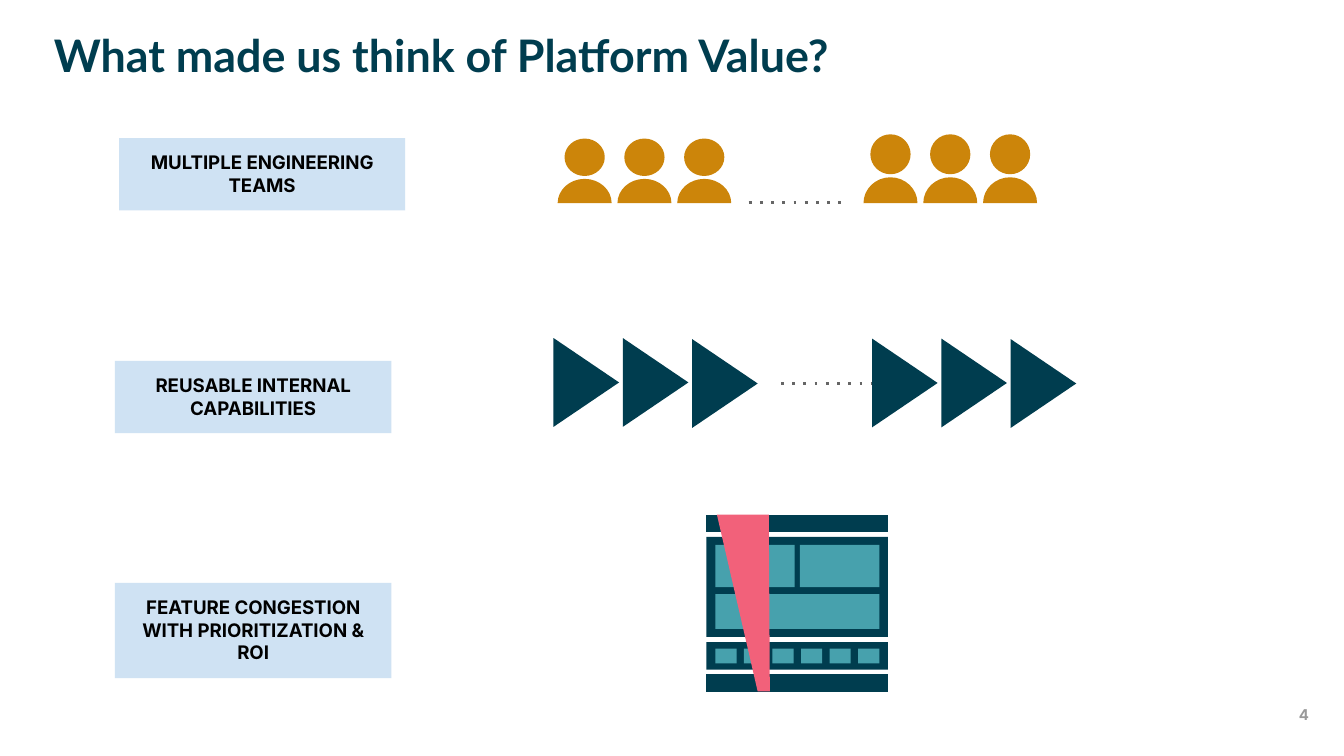
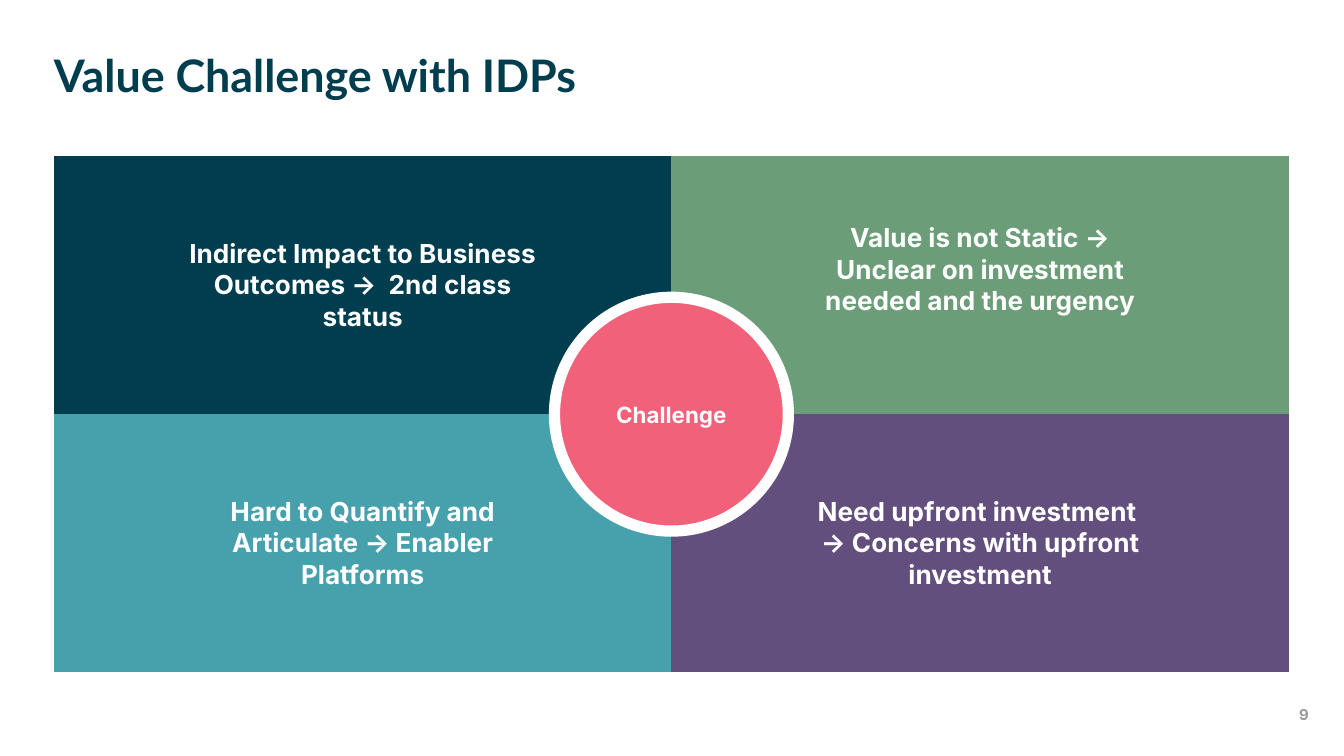
import copy
import math

import lxml.etree
import pptx
import pptx.dml.color
import pptx.enum.shapes
import pptx.enum.text
import pptx.oxml.ns
import pptx.util

HUES = {
    "navy": "003D4F", "teal": "47A1AD", "green": "6B9E78", "plum": "634F7D",
    "pink": "F2617A", "gold": "CC850A", "pale": "CFE2F3", "gray": "666666",
    "dim": "999999", "black": "000000", "white": "FFFFFF",
}
MID = pptx.enum.text.MSO_ANCHOR.MIDDLE
TOP = pptx.enum.text.MSO_ANCHOR.TOP
LEFT = pptx.enum.text.PP_ALIGN.LEFT
MAIN = pptx.enum.text.PP_ALIGN.CENTER
KIND = pptx.enum.shapes.MSO_SHAPE


def cm(*nums):
    return [pptx.util.Cm(num) for num in nums]


def tag(name):
    return pptx.oxml.ns.qn("a:" + name)


def rgb(hue):
    return pptx.dml.color.RGBColor.from_string(HUES[hue])


def apply(item, vals):
    for key, val in vals.items():
        setattr(item, key, val)


def pads(side, top, low=None):
    names = ("margin_left", "margin_right", "margin_top", "margin_bottom")
    return dict(zip(names, cm(side, side, top, top if low is None else low)))


def write(frame, text, size, hue, face="Inter", align=MAIN):
    """Fill a text frame with one bold paragraph."""
    line = frame.paragraphs[0]
    line.text = text
    line.alignment = align
    for run in line.runs:
        apply(run.font, {"name": face, "size": pptx.util.Pt(size), "bold": True})
        run.font.color.rgb = rgb(hue)
    # Line breaks take the format of the text
    for gap in line._p.iter(tag("br")):
        gap.insert(0, copy.deepcopy(line.runs[0]._r.rPr))


def label(shape, text, size, hue, pad=0, anchor=MID, **look):
    apply(shape.text_frame, {"word_wrap": True, "vertical_anchor": anchor, **pads(pad, pad)})
    write(shape.text_frame, text, size, hue, **look)


def paint(shape, hue):
    shape.shadow.inherit = False
    shape.fill.solid()
    shape.fill.fore_color.rgb = rgb(hue)
    shape.line.fill.background()


def solid(shapes, kind, box, hue):
    shape = shapes.add_shape(kind, *cm(*box))
    paint(shape, hue)
    return shape


def outline(shapes, left, top, loops, hue):
    """Draw closed loops, given relative to a corner, as one shape."""
    pen = None
    for loop in loops:
        dots = [cm(left + x, top + y) for x, y in loop]
        if pen is None:
            pen = shapes.build_freeform(*dots[0])
        else:
            pen.move_to(*dots[0])
        pen.add_line_segments(dots[1:], close=True)
    shape = pen.convert_to_shape()
    paint(shape, hue)
    return shape


def bend(shape):
    """Turn each three line points into one curve."""
    lines = list(shape.element.iter(tag("lnTo")))
    for spot in range(0, len(lines), 3):
        curve = lxml.etree.Element(tag("cubicBezTo"))
        lines[spot].addprevious(curve)
        for line in lines[spot:spot + 3]:
            curve.append(line[0])
            line.getparent().remove(line)


def block(left, top, wide, high):
    right, low = left + wide, top + high
    return [(left, top), (right, top), (right, low), (left, low)]


def arc(mid, base, wide, high, count):
    """Curve points for quarters of an ellipse, from its left end over its top."""
    def point(step, pull):
        turn = math.pi * (1 + step / 2)
        cos, sin = math.cos(turn), math.sin(turn)
        return mid + wide * (cos - pull * sin), base + high * (sin + pull * cos)

    pull = 0.55
    spots = [point(0, 0)]
    for step in range(count):
        spots += [point(step, pull), point(step + 1, -pull), point(step + 1, 0)]
    return spots


def start(deck, title, top, number):
    """Add a slide with its title and page number."""
    slide = deck.slides.add_slide(deck.slide_layouts[5])
    head = slide.shapes.title
    apply(head, dict(zip(("left", "top", "width", "height"), cm(1.02, top, 23.34, 1.7))))
    label(head, title, 24, "navy", anchor=TOP, face="Lato", align=LEFT)
    head.text_frame.auto_size = pptx.enum.text.MSO_AUTO_SIZE.NONE
    page = slide.shapes.add_textbox(*cm(24.38, 13.26, 0.53, 0.51))
    label(page, number, 8, "dim")
    return slide.shapes


def team(shapes, left, top, high):
    """Three people side by side."""
    group = shapes.add_group_shape().shapes
    body = arc(0.51, high, 0.51, 0.375 * high, 2)
    skull = arc(0.51, 0.29 * high, 0.38, 0.29 * high, 4)
    for spot in range(3):
        bend(outline(group, left + 1.13 * spot, top, [body, skull], "gold"))


def arrows(shapes, left, tops):
    """Three triangles that point right."""
    wide, high = 1.24, 1.68
    for spot, top in enumerate(tops):
        x = left + 1.31 * spot + (wide - high) / 2
        y = top + (high - wide) / 2
        solid(shapes, KIND.ISOSCELES_TRIANGLE, (x, y, high, wide), "navy").rotation = 90


def dots(shapes, left, right, top):
    """Dotted line."""
    line = shapes.add_connector(
        pptx.enum.shapes.MSO_CONNECTOR.STRAIGHT, *cm(left, top, right, top))
    line.line.width = pptx.util.Pt(1.5)
    line.line.color.rgb = rgb("gray")
    props = line.element.spPr
    lxml.etree.SubElement(props.find(tag("ln")), tag("prstDash"), val="dot")
    lxml.etree.SubElement(props, tag("effectLst"))


def board(shapes, left, top):
    """Crowded screen with a wedge across it."""
    group = shapes.add_group_shape().shapes
    wide = 3.43
    head, foot = block(0, 0, wide, 0.33), block(0, 3.02, wide, 0.33)
    frames = [block(0, 0.42, wide, 1.89), block(0, 2.41, wide, 0.52)]
    panes = [block(0.17, 0.57, 1.5, 0.8), block(1.77, 0.57, 1.5, 0.8),
             block(0.17, 1.5, 3.1, 0.66)]
    panes += [block(0.17 + 0.54 * spot, 2.53, 0.4, 0.28) for spot in range(6)]
    wedge = [(0.2, 0), (1.18, 0), (1.2, 3.34), (0.97, 3.34)]
    for loops, hue in (([head], "navy"), ([foot], "navy"), (frames, "navy"),
                       (panes, "teal"), ([wedge], "pink")):
        outline(group, left, top, loops, hue)


def think(deck):
    shapes = start(deck, "What made us think of Platform Value?", 0.53, "4")
    # People
    team(shapes, 10.54, 2.62, 1.22)
    team(shapes, 16.32, 2.54, 1.3)
    dots(shapes, 14.15, 15.98, 3.83)
    # Capabilities
    arrows(shapes, 10.46, (6.39, 6.39, 6.41))
    dots(shapes, 14.76, 16.48, 7.25)
    # Features
    board(shapes, 13.35, 9.73)
    # Labels
    for text, box in (
        ("MULTIPLE ENGINEERING\nTEAMS", (2.25, 2.61, 5.41, 1.37)),
        ("REUSABLE INTERNAL CAPABILITIES", (2.17, 6.82, 5.23, 1.37)),
        ("FEATURE CONGESTION WITH PRIORITIZATION & ROI", (2.17, 11.02, 5.23, 1.8)),
    ):
        label(solid(shapes, KIND.RECTANGLE, box, "pale"), text, 10, "black",
              pad=0.25, anchor=TOP)
    # More capabilities
    arrows(shapes, 16.48, (6.4, 6.4, 6.41))


def grid(shapes, left, top, wide, high, cells):
    """Two by two table of coloured cells."""
    frame = shapes.add_table(2, 2, *cm(left, top, wide, high))
    # Plain style without grid lines
    frame.element.xpath(".//a:tableStyleId")[0].text = "{2D5ABB26-0587-4C30-8999-92F81FD0307C}"
    table = frame.table
    apply(table, {"first_row": False, "horz_banding": False})
    for cell, (text, hue, low) in zip(table.iter_cells(), cells):
        cell.fill.solid()
        cell.fill.fore_color.rgb = rgb(hue)
        apply(cell, {"vertical_anchor": MID, **pads(2.54, 0.76, low)})
        write(cell.text_frame, text, 14, "white")


def value(deck):
    shapes = start(deck, "Value Challenge with IDPs", 0.9, "9")
    # Quadrants
    left, top, wide, high = 1.02, 2.95, 23.34, 9.76
    grid(shapes, left, top, wide, high, (
        ("Indirect Impact to Business Outcomes →  2nd class status", "navy", 0.76),
        ("Value is not Static → Unclear on investment needed and the urgency", "green", 1.35),
        ("Hard to Quantify and Articulate → Enabler Platforms", "teal", 0.76),
        ("Need upfront investment  → Concerns with upfront investment", "plum", 0.76),
    ))
    # Hub
    size = 4.42
    box = (left + (wide - size) / 2, top + (high - size) / 2, size, size)
    hub = solid(shapes, KIND.OVAL, box, "pink")
    hub.line.color.rgb = rgb("white")
    hub.line.width = pptx.util.Pt(6)
    label(hub, "Challenge", 12, "white")


def main():
    deck = pptx.Presentation()
    apply(deck, dict(zip(("slide_width", "slide_height"), cm(25.4, 14.29))))
    think(deck)
    value(deck)
    deck.save("out.pptx")


if __name__ == "__main__":
    main()
